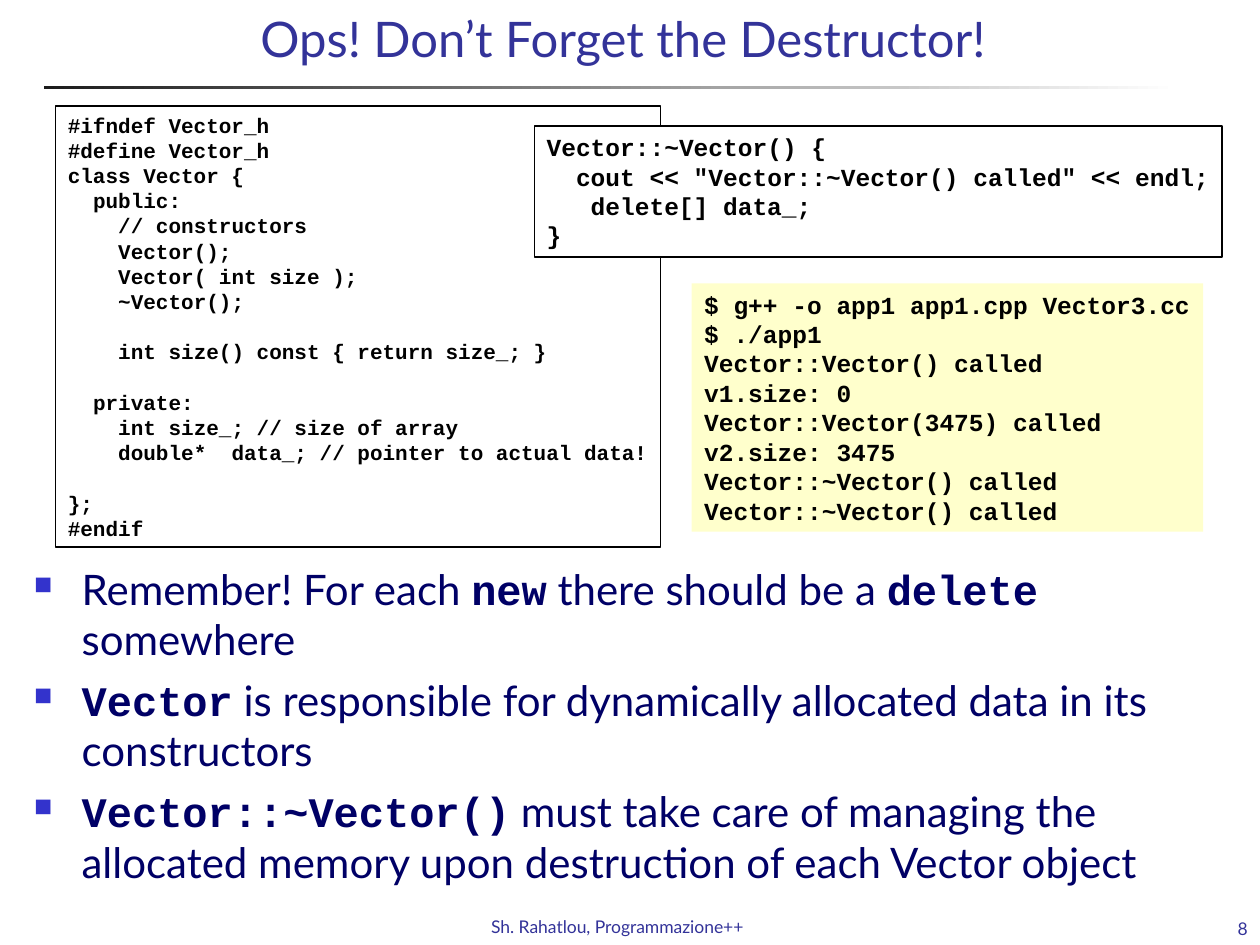
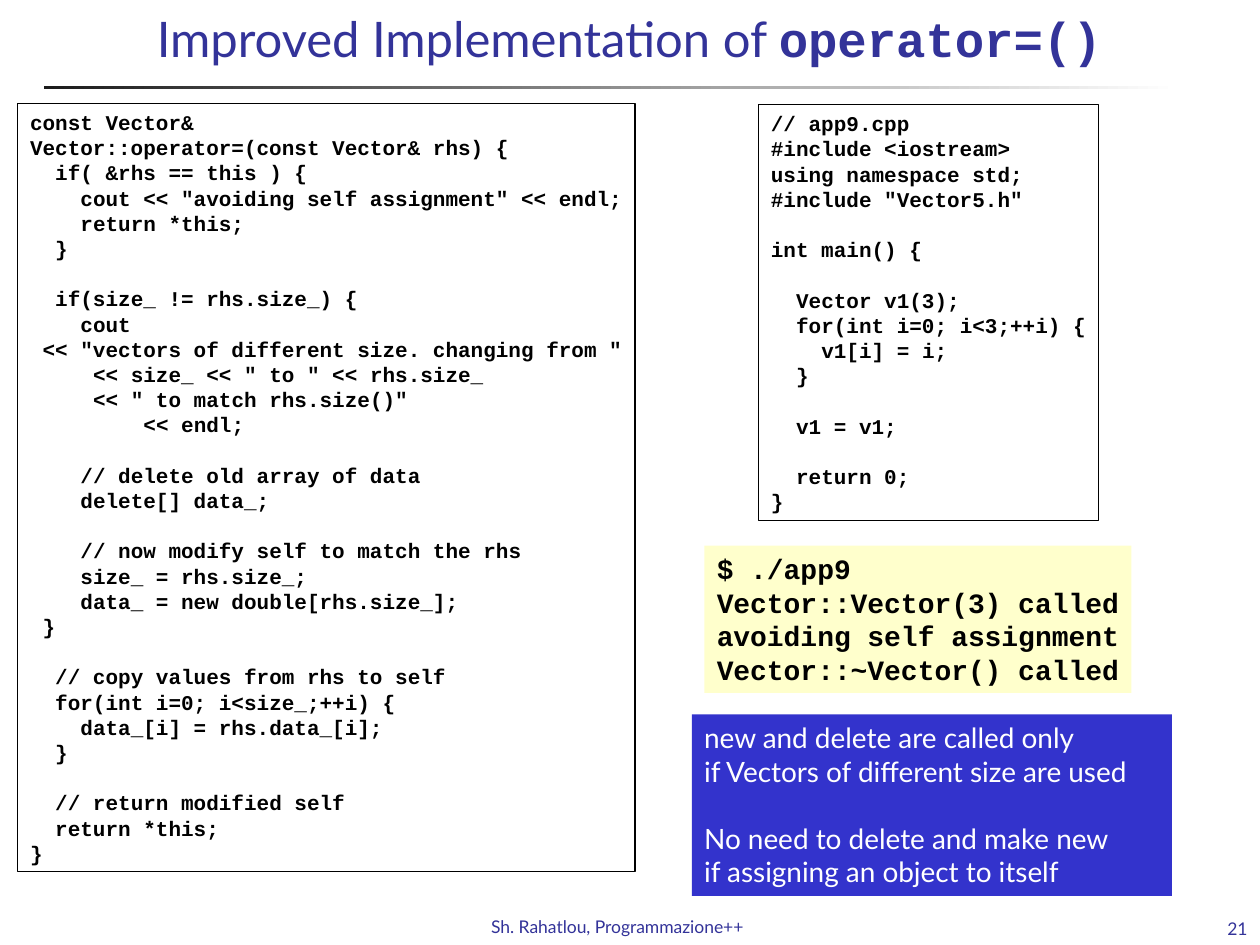
"""Build two slides on destructors and assignment in C++."""
from dataclasses import dataclass

from lxml.etree import SubElement as Sub
from pptx import Presentation
from pptx.dml.color import RGBColor as Rgb
from pptx.enum.shapes import MSO_SHAPE as Form
from pptx.enum.text import MSO_ANCHOR as Anchor, MSO_AUTO_SIZE as Fit, PP_ALIGN as Align
from pptx.oxml.ns import qn
from pptx.util import Inches, Pt


@dataclass(frozen=True)
class Theme:
    """Colours, fonts and type sizes of the deck."""
    title: str = "333399"
    body: str = "000066"
    accent: str = "3333CC"
    cream: str = "FFFFCC"
    black: str = "000000"
    white: str = "FFFFFF"
    dark: str = "1C1C1C"
    sans: str = "Lato"
    mono: str = "Courier New"
    head: int = 28
    text: int = 24
    large: int = 16
    mid: int = 14
    small: int = 12
    foot: int = 10


THEME = Theme()
WIDE, HIGH = Inches(10), Inches(7.5)
PITCH, LEAD = 0.6, 1.2

HEADER = """#ifndef Vector_h
#define Vector_h
class Vector {
  public:
    // constructors
    Vector();
    Vector( int size );
    ~Vector();

    int size() const { return size_; }

  private:
    int size_; // size of array
    double*  data_; // pointer to actual data!

};
#endif"""

DTOR = """Vector::~Vector() {
  cout << "Vector::~Vector() called" << endl;
   delete[] data_;
}"""

BUILD = """$ g++ -o app1 app1.cpp Vector3.cc
$ ./app1
Vector::Vector() called
v1.size: 0
Vector::Vector(3475) called
v2.size: 3475
Vector::~Vector() called
Vector::~Vector() called"""

ASSIGN = """const Vector&
Vector::operator=(const Vector& rhs) {
  if( &rhs == this ) {
    cout << "avoiding self assignment" << endl;
    return *this;
  }

  if(size_ != rhs.size_) {
    cout
 << "vectors of different size. changing from "
     << size_ << " to " << rhs.size_
     << " to match rhs.size()"
         << endl;

    // delete old array of data
    delete[] data_;

    // now modify self to match the rhs
    size_ = rhs.size_;
    data_ = new double[rhs.size_];
 }

  // copy values from rhs to self
  for(int i=0; i<size_;++i) {
    data_[i] = rhs.data_[i];
  }

  // return modified self
  return *this;
}"""

MAIN = """// app9.cpp
#include <iostream>
using namespace std;
#include "Vector5.h"

int main() {

  Vector v1(3);
  for(int i=0; i<3;++i) {
    v1[i] = i;
  }

  v1 = v1;

  return 0;
}"""

RUN = """$ ./app9
Vector::Vector(3) called
avoiding self assignment
Vector::~Vector() called"""

NOTE = """new and delete are called only
if Vectors of different size are used

No need to delete and make new
if assigning an object to itself"""

POINTS = [
    ["Remember! For each ", "`new", " there should be a ", "`delete", " somewhere"],
    ["`Vector", " is responsible for dynamically allocated data in its constructors"],
    ["`Vector::~Vector()", " must take care of managing the allocated memory"
     " upon destruction of each Vector object"],
]


def area(left, top, width, height):
    """Turn percentages of the slide into lengths."""
    return [int(part * side / 100)
            for part, side in zip((left, top, width, height), (WIDE, HIGH) * 2)]


def add_run(para, text, size, color, font=THEME.sans):
    """Add one run; the code font is bold."""
    run = para.add_run()
    run.text = text
    face = run.font
    face.name, face.size, face.bold = font, Pt(size), font == THEME.mono
    face.color.rgb = Rgb.from_string(color)


def add_mix(para, parts, size, color):
    """Add runs, setting those marked with a backtick as code."""
    for part in parts:
        font = THEME.mono if part.startswith("`") else THEME.sans
        add_run(para, part.removeprefix("`"), size, color, font)


def add_label(slide, spot, text, align=Align.LEFT, anchor=Anchor.TOP, wrap=True):
    """Add a small line of footer text."""
    frame = slide.shapes.add_textbox(*area(*spot)).text_frame
    frame.word_wrap, frame.vertical_anchor = wrap, anchor
    para = frame.paragraphs[0]
    para.alignment = align
    add_run(para, text, THEME.foot, THEME.title)


def add_slide(deck, title, number):
    """Add a slide with its title, rule and footer."""
    slide = deck.slides.add_slide(deck.slide_layouts[5])
    rule = slide.shapes.add_shape(Form.RECTANGLE, *area(3.5, 9.07, 90, 0.4))
    rule.shadow.inherit = False
    rule.line.fill.background()
    rule.fill.gradient()
    rule.fill.gradient_angle = 0
    for stop, color in zip(rule.fill.gradient_stops, (THEME.dark, THEME.white)):
        stop.color.rgb = Rgb.from_string(color)
    add_label(slide, (38, 96.27, 23.7, 3.6), "Sh. Rahatlou, Programmazione++", wrap=False)
    add_label(slide, (89.2, 96.67, 10.8, 3.33), number, Align.RIGHT, Anchor.BOTTOM)
    head = slide.shapes.title
    head.left, head.top, head.width, head.height = area(5.8, 0.27, 88.3, 8.93)
    frame = head.text_frame
    frame.auto_size, frame.vertical_anchor = Fit.NONE, Anchor.TOP
    frame.paragraphs[0].alignment = Align.CENTER
    add_mix(frame.paragraphs[0], title, THEME.head, THEME.title)
    return slide


def add_panel(slide, spot, text, size, fill=None, edge=None,
              color=THEME.black, font=THEME.mono):
    """Add a box of lines, with indents and gaps set as paragraph format."""
    box = slide.shapes.add_shape(Form.RECTANGLE, *area(*spot))
    box.shadow.inherit = False
    if fill:
        box.fill.solid()
        box.fill.fore_color.rgb = Rgb.from_string(fill)
    else:
        box.fill.background()
    if edge:
        box.line.color.rgb = Rgb.from_string(edge)
        box.line.width = Pt(0.75)
    else:
        box.line.fill.background()
    frame = box.text_frame
    frame.word_wrap, frame.auto_size = True, Fit.NONE
    frame.vertical_anchor, frame.margin_right = Anchor.TOP, 0
    para, gap = frame.paragraphs[0], 0
    for row, line in enumerate(text.splitlines()):
        if not line:
            gap += size * LEAD
            continue
        if row:
            para = frame.add_paragraph()
        code = line.lstrip()
        para.alignment, para.space_before = Align.LEFT, Pt(gap)
        props = para._p.get_or_add_pPr()
        props.set("marL", str(Pt((len(line) - len(code)) * PITCH * size)))
        props.set("indent", "0")
        add_run(para, code, size, color, font)
        gap = 0


def add_list(slide, spot, items):
    """Add the list with square bullets."""
    frame = slide.shapes.add_textbox(*area(*spot)).text_frame
    frame.word_wrap = True
    for row, parts in enumerate(items):
        para = frame.add_paragraph() if row else frame.paragraphs[0]
        para.space_before = Pt(6)
        props = para._p.get_or_add_pPr()
        props.set("marL", str(Inches(0.38)))
        props.set("indent", str(-Inches(0.38)))
        tint = Sub(props, qn("a:buClr"))
        Sub(tint, qn("a:srgbClr"), val=THEME.accent)
        Sub(props, qn("a:buSzPct"), val="60000")
        Sub(props, qn("a:buChar"), char="■")
        add_mix(para, parts, THEME.text, THEME.body)


def main():
    """Build and save the deck."""
    deck = Presentation()
    deck.slide_width, deck.slide_height = WIDE, HIGH

    slide = add_slide(deck, ["Ops! Don’t Forget the Destructor! "], "8")
    add_list(slide, (1.7, 58.93, 96.3, 36.67), POINTS)
    add_panel(slide, (4.4, 11.2, 48, 46.67), HEADER, THEME.small, edge=THEME.black)
    add_panel(slide, (42.4, 13.33, 54.6, 13.87), DTOR, THEME.mid, THEME.white, THEME.black)
    add_panel(slide, (54.9, 30, 40.6, 26.27), BUILD, THEME.mid, THEME.cream)

    slide = add_slide(deck, ["Improved Implementation of ", "`operator=()"], "21")
    add_panel(slide, (1.4, 10.93, 49, 81.33), ASSIGN, THEME.small, edge=THEME.black)
    add_panel(slide, (55.9, 57.73, 33.9, 15.6), RUN, THEME.large, THEME.cream)
    add_panel(slide, (60.2, 11.07, 27, 44), MAIN, THEME.small, edge=THEME.black)
    add_panel(slide, (54.9, 75.6, 38.1, 19.2), NOTE, THEME.large, THEME.accent,
              color=THEME.white, font=THEME.sans)

    deck.save("out.pptx")


if __name__ == "__main__":
    main()
